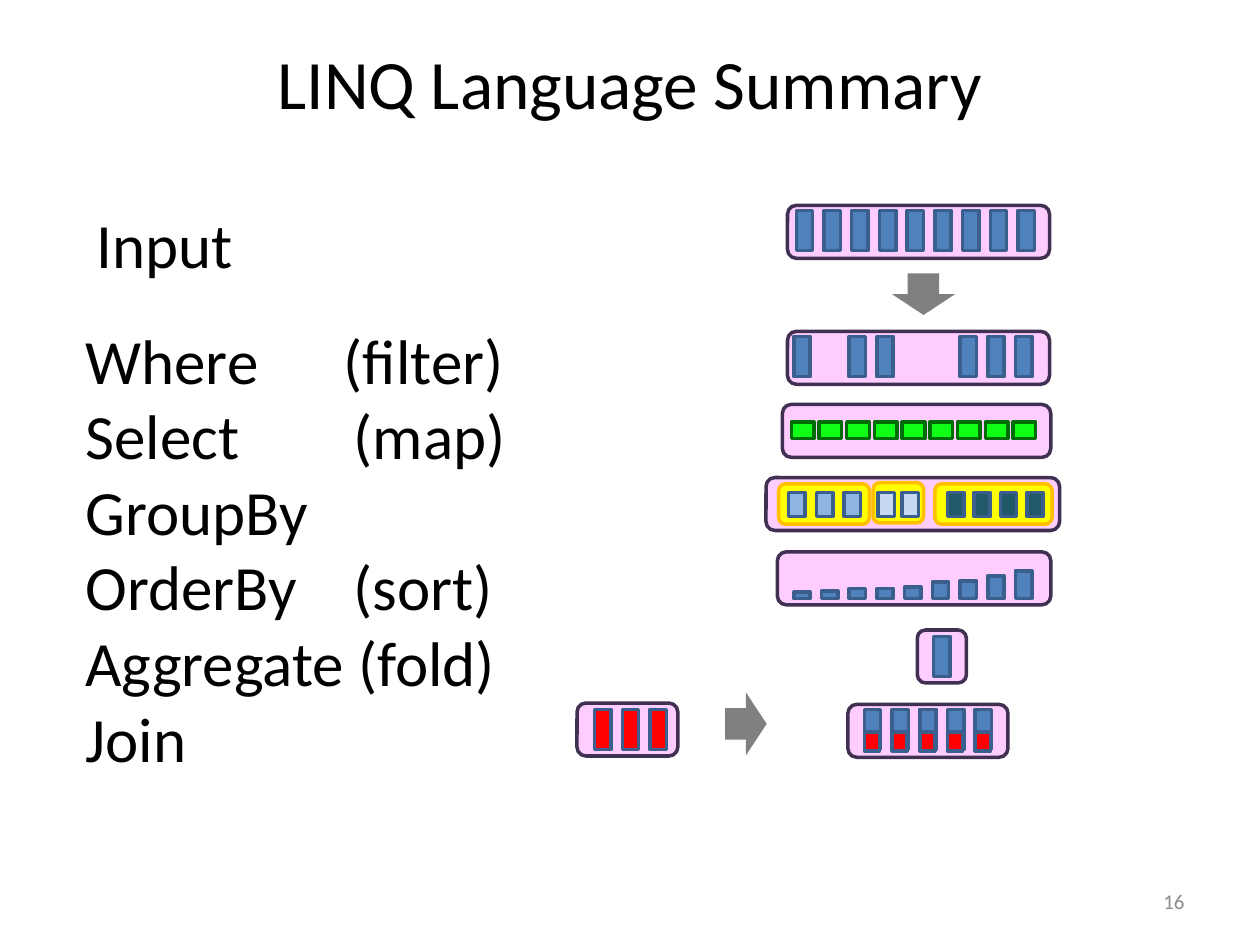
from typing import NamedTuple, Optional, Sequence

from pptx import Presentation
from pptx.dml.color import RGBColor
from pptx.enum.shapes import MSO_SHAPE as Shape
from pptx.enum.text import MSO_ANCHOR as Anchor, PP_ALIGN as Align
from pptx.oxml.ns import qn
from pptx.util import Emu, Pt
from lxml.etree import SubElement

PX = 9144
PITCH = 22
BAR_W, BAR_H = 13, 32

BLACK = RGBColor(0x00, 0x00, 0x00)
PAGE_GRAY = RGBColor(0x8C, 0x8C, 0x8C)
ARROW_GRAY = RGBColor(0x80, 0x80, 0x80)
PINK = RGBColor(0xFF, 0xCC, 0xFF)
PURPLE = RGBColor(0x40, 0x31, 0x52)
YELLOW = RGBColor(0xFF, 0xFF, 0x00)
AMBER = RGBColor(0xFF, 0xC0, 0x00)
BLUE = RGBColor(0x4F, 0x81, 0xBD)
NAVY = RGBColor(0x3A, 0x5F, 0x8C)
GREEN = RGBColor(0x11, 0xFF, 0x17)
DARK_GREEN = RGBColor(0x00, 0x6C, 0x05)
RED = RGBColor(0xFF, 0x00, 0x00)
SKY = RGBColor(0x8E, 0xB4, 0xE3)
PALE = RGBColor(0xC6, 0xD9, 0xF1)
TEAL = RGBColor(0x21, 0x59, 0x68)


class Box(NamedTuple):
    x: int
    y: int
    w: int
    h: int


class Bars(NamedTuple):
    x: int
    bottom: int
    heights: Sequence[int]
    fill: RGBColor = BLUE
    line: RGBColor = NAVY
    width: int = BAR_W
    pitch: int = PITCH


class Line(NamedTuple):
    text: str
    tab: int = 0


TRAYS = [
    Box(625, 163, 208, 42),
    Box(625, 263, 208, 42),
    Box(621, 321, 213, 42),
    Box(608, 379, 233, 42),
    Box(617, 438, 217, 42),
    Box(728, 500, 39, 42),
    Box(458, 558, 80, 42),
    Box(673, 559, 127, 42),
]
GROUPS = [Box(618, 384, 72, 32), Box(693, 383, 40, 32), Box(742, 384, 93, 32)]

BAR_ROWS = [
    Bars(632, 199, [BAR_H] * 9),
    Bars(630, 299, [BAR_H, 0, BAR_H, BAR_H, 0, 0, BAR_H, BAR_H, BAR_H]),
    Bars(628, 348, [13] * 9, GREEN, DARK_GREEN, width=18),
    Bars(626, 410, [19] * 3, SKY),
    Bars(697, 410, [19] * 2, PALE, pitch=19),
    Bars(752, 410, [19] * 4, TEAL, pitch=21),
    Bars(630, 475, [5, 6, 8, 8, 9, 13, 14, 18, 22]),
    Bars(741, 537, [BAR_H]),
    Bars(472, 595, [BAR_H] * 3, RED),
    Bars(686, 595, [BAR_H] * 5),
    Bars(686, 596, [15] * 5, RED, width=12),
]

OPERATORS = [
    Line("Where\t(filter)", 205),
    Line("Select\t(map)", 213),
    Line("GroupBy"),
    Line("OrderBy\t(sort)", 213),
    Line("Aggregate (fold)"),
    Line("Join"),
]


def scaled(box: Box) -> list[Emu]:
    return [Emu(length * PX) for length in box]


def draw_shape(slide, kind: Shape, box: Box, fill: RGBColor,
               line: Optional[RGBColor] = None, rotation: int = 0) -> None:
    shape = slide.shapes.add_shape(kind, *scaled(box))
    shape.shadow.inherit = False
    shape.rotation = rotation
    shape.fill.solid()
    shape.fill.fore_color.rgb = fill
    if line is None:
        shape.line.fill.background()
    else:
        shape.line.color.rgb = line
        shape.line.width = Pt(2)


def draw_bars(slide, bars: Bars) -> None:
    for slot, height in enumerate(bars.heights):
        if height:
            bar = Box(bars.x + slot * bars.pitch, bars.bottom - height, bars.width, height)
            draw_shape(slide, Shape.RECTANGLE, bar, bars.fill, bars.line)


def draw_text(slide, box: Box, lines: Sequence[Line], size: float,
              color: RGBColor = BLACK, align: Align = Align.LEFT,
              anchor: Anchor = Anchor.TOP) -> None:
    frame = slide.shapes.add_textbox(*scaled(box)).text_frame
    frame.word_wrap = True
    frame.vertical_anchor = anchor
    for index, line in enumerate(lines):
        paragraph = frame.paragraphs[0] if index == 0 else frame.add_paragraph()
        paragraph.alignment = align
        if line.tab:
            stops = SubElement(paragraph._p.get_or_add_pPr(), qn("a:tabLst"))
            SubElement(stops, qn("a:tab"), pos=str(line.tab * PX), algn="l")
        run = paragraph.add_run()
        run.text = line.text
        run.font.name = "Calibri"
        run.font.size = Pt(size)
        run.font.color.rgb = color


def main() -> None:
    deck = Presentation()
    deck.slide_width, deck.slide_height = Emu(1000 * PX), Emu(750 * PX)
    slide = deck.slides.add_slide(deck.slide_layouts[6])

    draw_text(slide, Box(50, 30, 900, 70), [Line("LINQ Language Summary")], 39.6,
              align=Align.CENTER, anchor=Anchor.MIDDLE)
    draw_text(slide, Box(67, 158, 129, 71), [Line("Input")], 36)
    draw_text(slide, Box(58, 250, 355, 374), OPERATORS, 36)
    draw_text(slide, Box(717, 695, 233, 40), [Line("16")], 12, PAGE_GRAY,
              Align.RIGHT, Anchor.MIDDLE)

    for tray in TRAYS:
        draw_shape(slide, Shape.ROUNDED_RECTANGLE, tray, PINK, PURPLE)
    for group in GROUPS:
        draw_shape(slide, Shape.ROUNDED_RECTANGLE, group, YELLOW, AMBER)
    for bars in BAR_ROWS:
        draw_bars(slide, bars)

    draw_shape(slide, Shape.DOWN_ARROW, Box(708, 217, 50, 33), ARROW_GRAY)
    draw_shape(slide, Shape.DOWN_ARROW, Box(567, 558, 50, 33), ARROW_GRAY, rotation=270)
    deck.save("out.pptx")


if __name__ == "__main__":
    main()
